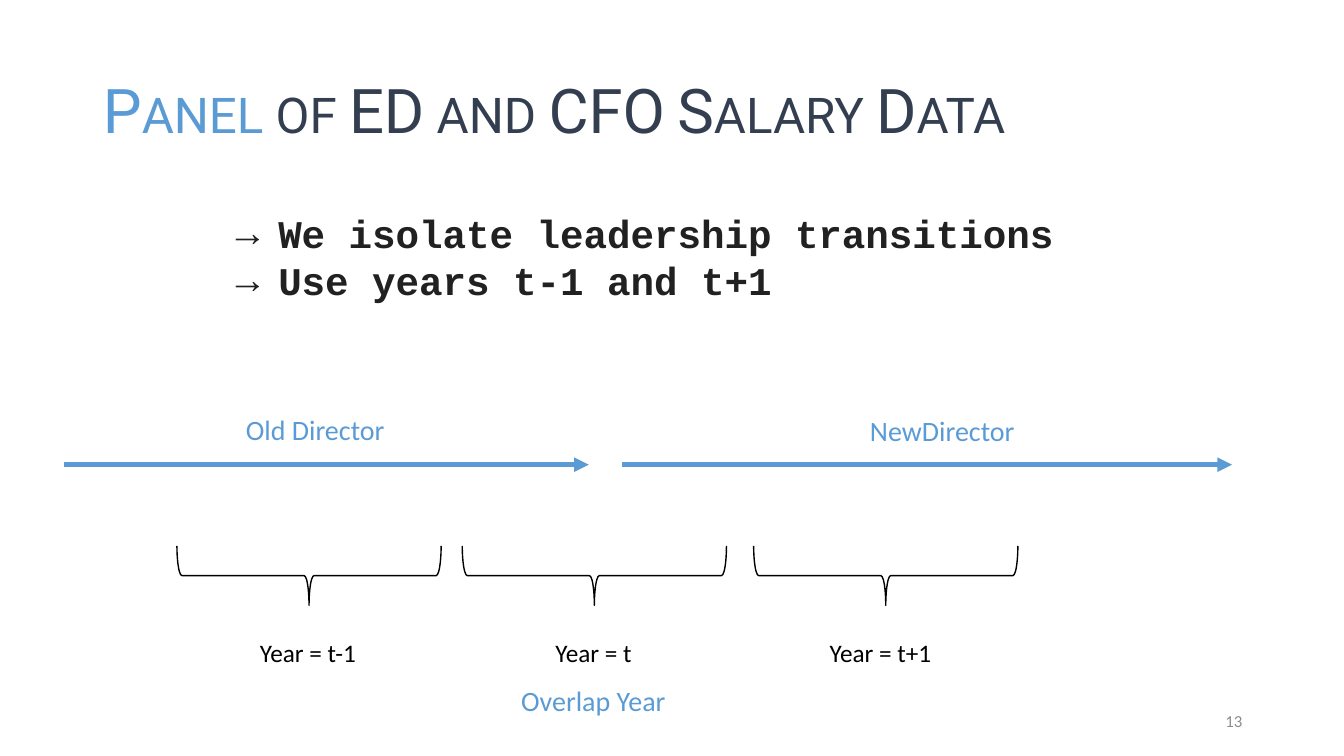
import lxml.etree
import pptx
import pptx.dml.color
import pptx.enum.shapes
import pptx.enum.text
import pptx.oxml.ns
import pptx.util

Inches = pptx.util.Inches
Pt = pptx.util.Pt
Align = pptx.enum.text.PP_ALIGN
Anchor = pptx.enum.text.MSO_ANCHOR

BLUE, NAVY, INK, GREY, BLACK = "5B9BD5", "333F50", "212121", "8C8C8C", "000000"


def color(value):
    return pptx.dml.color.RGBColor.from_string(value)


def add_xml(parent, tag, **attributes):
    return lxml.etree.SubElement(parent, pptx.oxml.ns.qn(tag), attributes)


class TimelineSlide:
    """Holds the fonts and the slide under construction."""

    title_font, list_font, label_font = "Roboto", "Courier New", "Calibri"

    def __init__(self, presentation):
        self.slide = presentation.slides.add_slide(presentation.slide_layouts[1])

    def run(self, paragraph, text, font, size, hex_color, bold=False):
        run = paragraph.add_run()
        run.text = text
        run.font.name, run.font.size, run.font.bold = font, Pt(size), bold
        run.font.color.rgb = color(hex_color)
        return run

    def place(self, shape, left, top, width, height):
        shape.left, shape.top = Inches(left), Inches(top)
        shape.width, shape.height = Inches(width), Inches(height)

    def title(self, parts):
        shape = self.slide.shapes.title
        self.place(shape, 0.92, 0.4, 11.5, 1.45)
        shape.text_frame.vertical_anchor = Anchor.MIDDLE
        paragraph = shape.text_frame.paragraphs[0]
        paragraph.alignment = Align.LEFT
        paragraph.line_spacing = 0.9
        for text, hex_color in parts:
            run = self.run(paragraph, text, self.title_font, 44, hex_color)
            run.font._element.set("cap", "small")

    def arrow_list(self, items):
        shape = self.slide.placeholders[1]
        self.place(shape, 2.16, 2.03, 10.25, 1.51)
        frame = shape.text_frame
        frame.auto_size = pptx.enum.text.MSO_AUTO_SIZE.NONE
        for index, text in enumerate(items):
            paragraph = frame.add_paragraph() if index else frame.paragraphs[0]
            paragraph.space_before = Pt(0)
            self.run(paragraph, text, self.list_font, 28, INK, bold=True)
            properties = paragraph._p.get_or_add_pPr()
            properties.set("marL", str(Inches(0.5)))
            properties.set("indent", str(-Inches(0.5)))
            add_xml(properties, "a:buChar", char="→")

    def label(self, text, left, top, width, height, size, hex_color):
        box = self.slide.shapes.add_textbox(0, 0, 0, 0)
        self.place(box, left, top, width, height)
        box.text_frame.word_wrap = False
        self.run(box.text_frame.paragraphs[0], text, self.label_font, size, hex_color)
        return box

    def page_number(self, text):
        frame = self.label(text, 9.42, 6.95, 3, 0.4, 12, GREY).text_frame
        frame.word_wrap = True
        frame.vertical_anchor = Anchor.MIDDLE
        frame.paragraphs[0].alignment = Align.RIGHT

    def arrow(self, start, end, y):
        connector = self.slide.shapes.add_connector(
            pptx.enum.shapes.MSO_CONNECTOR.STRAIGHT,
            Inches(start), Inches(y), Inches(end), Inches(y))
        connector.line.color.rgb = color(BLUE)
        connector.line.width = Pt(3.5)
        add_xml(connector.line._get_or_add_ln(), "a:tailEnd", type="triangle")
        add_xml(connector._element.spPr, "a:effectLst")

    def brace(self, left):
        shape = self.slide.shapes.add_shape(
            pptx.enum.shapes.MSO_SHAPE.LEFT_BRACE,
            Inches(left), Inches(4.4), Inches(0.59), Inches(2.62))
        shape.rotation = 270
        shape.shadow.inherit = False
        shape.fill.background()
        shape.line.color.rgb = color(BLACK)
        shape.line.width = Pt(1)


def main():
    presentation = pptx.Presentation()
    presentation.slide_width = Inches(13.33)
    presentation.slide_height = Inches(7.5)
    page = TimelineSlide(presentation)
    page.title([("Panel", BLUE), (" of ED and CFO Salary Data", NAVY)])
    page.arrow_list(["We isolate leadership transitions", "Use years t-1 and t+1"])
    for start, end in [(0.63, 5.84), (6.17, 12.22)]:
        page.arrow(start, end, 4.61)
    for text, left, top, width in [("Old Director", 2.34, 4.04, 1.59),
                                   ("NewDirector", 8.53, 4.05, 1.65),
                                   ("Overlap Year", 5.07, 6.73, 1.65)]:
        page.label(text, left, top, width, 0.44, 20, BLUE)
    for year, brace_left, left, width in [("t-1", 2.77, 2.48, 1.17),
                                          ("t", 5.6, 5.41, 0.97),
                                          ("t+1", 8.49, 8.13, 1.22)]:
        page.brace(brace_left)
        page.label(f"Year = {year}", left, 6.27, width, 0.4, 18, BLACK)
    page.page_number("13")
    presentation.save("out.pptx")


if __name__ == "__main__":
    main()
